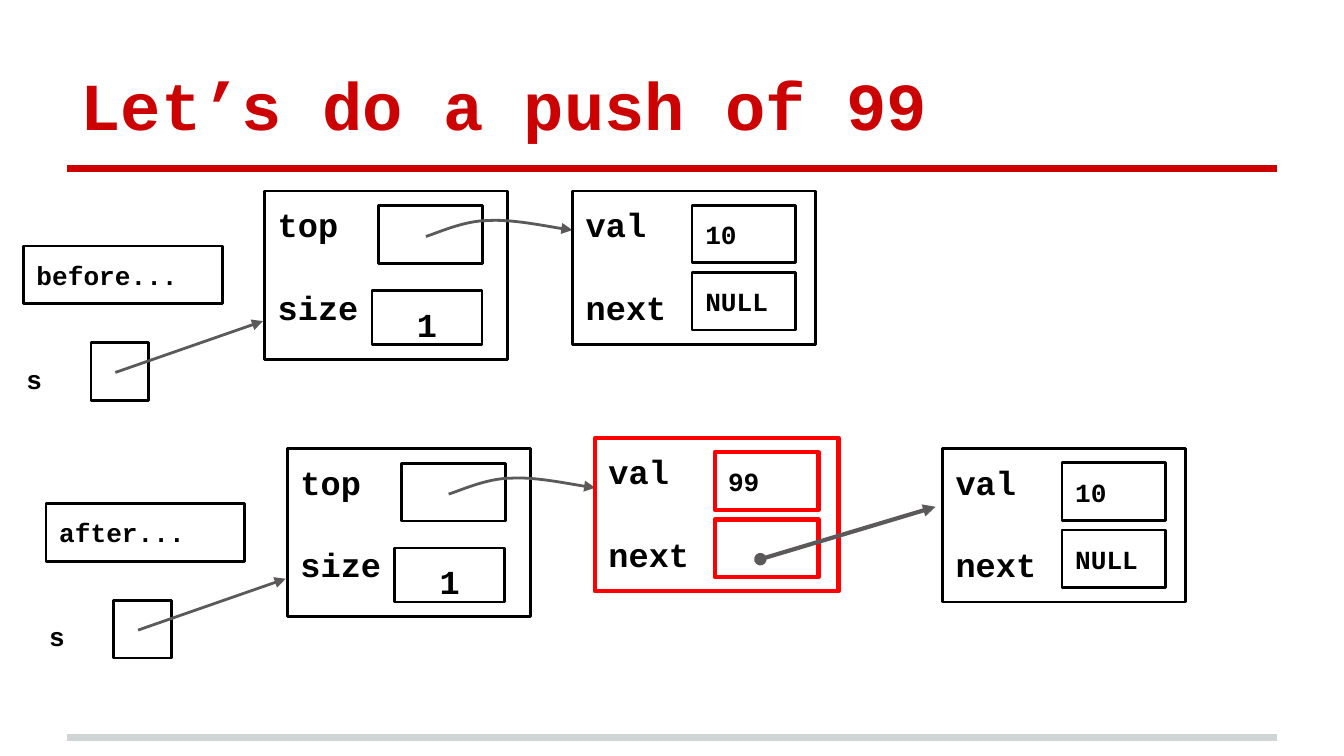
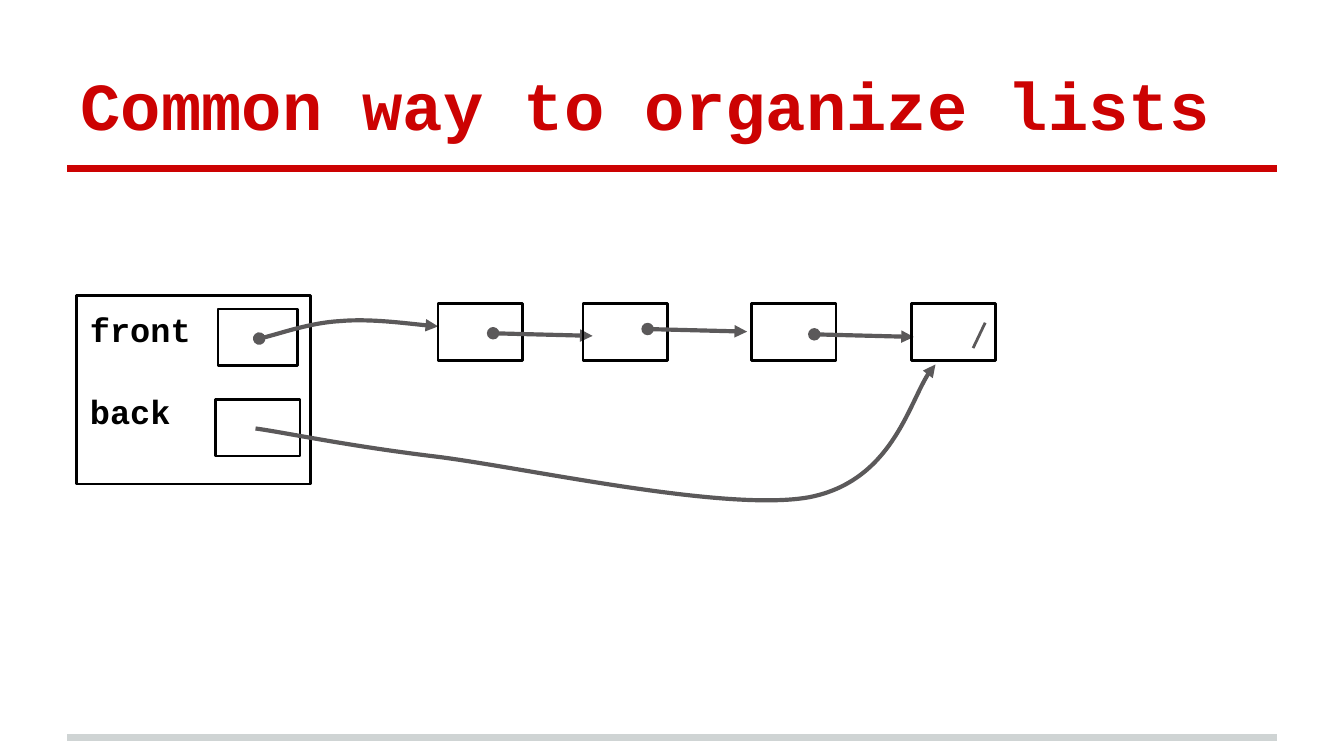
from dataclasses import dataclass

from lxml.etree import SubElement
from pptx import Presentation
from pptx.dml.color import RGBColor
from pptx.enum.shapes import MSO_CONNECTOR as Connector, MSO_SHAPE as Preset
from pptx.enum.text import MSO_ANCHOR as Anchor, MSO_AUTO_SIZE as AutoSize, PP_ALIGN as Align
from pptx.oxml.ns import qn
from pptx.util import Cm, Pt


@dataclass(frozen=True)
class Theme:
    """Colours, type sizes and line widths of the deck."""
    red: str = "CC0202"
    highlight: str = "FF0000"
    ink: str = "000000"
    arrow: str = "5B595A"
    footer: str = "CFD4D4"
    font: str = "Courier New"
    title: float = 36
    field: float = 18
    value: float = 14
    field_gap: float = 22.5
    thin: float = 1.5
    thick: float = 2.25
    rule: float = 4
    inset: float = 0.25


THEME = Theme()
CELL = (1.96, 1.09)
LINK_CELL = (1.6, 1.07)


def write(frame, *lines, size=THEME.value, color=THEME.ink, align=Align.LEFT, anchor=Anchor.TOP):
    """Fill a text frame with bold lines, one paragraph each."""
    frame.word_wrap = True
    frame.auto_size = AutoSize.NONE
    frame.vertical_anchor = anchor
    frame.margin_left = frame.margin_right = Cm(THEME.inset)
    frame.margin_top = frame.margin_bottom = Cm(THEME.inset)
    for index, line in enumerate(lines):
        paragraph = frame.add_paragraph() if index else frame.paragraphs[0]
        paragraph.alignment = align
        paragraph.space_before = Pt(THEME.field_gap if index else 0)
        run = paragraph.add_run()
        run.text = line
        run.font.name = THEME.font
        run.font.size = Pt(size)
        run.font.bold = True
        run.font.color.rgb = RGBColor.from_string(color)


def stroke(shape, color, width, head=None, tail=None):
    """Set a line's colour, width and arrowheads."""
    shape.line.color.rgb = RGBColor.from_string(color)
    shape.line.width = Pt(width)
    line = shape._element.xpath(".//a:ln")[0]
    for tag, kind in (("a:headEnd", head), ("a:tailEnd", tail)):
        if kind:
            SubElement(line, qn(tag)).set("type", kind)


def add_box(slide, origin, offset, extent, *lines, color=THEME.ink, width=THEME.thin,
            **text_format):
    """Add an outlined rectangle at an offset from an origin."""
    left, top = shift(origin, offset)
    shape = slide.shapes.add_shape(Preset.RECTANGLE, Cm(left), Cm(top), *map(Cm, extent))
    shape.shadow.inherit = False
    shape.fill.background()
    stroke(shape, color, width)
    if lines:
        write(shape.text_frame, *lines, **text_format)


def add_line(slide, origin, start, end, color=THEME.arrow, width=THEME.thin, **ends):
    """Add a straight line between two offsets from an origin."""
    points = [Cm(value) for offset in (start, end) for value in shift(origin, offset)]
    connector = slide.shapes.add_connector(Connector.STRAIGHT, *points)
    stroke(connector, color, width, **ends)
    SubElement(connector._element.spPr, qn("a:effectLst"))


def add_curve(slide, origin, points, width=THEME.thin, head=None):
    """Add an arrow of cubic curves: a start, then three points per curve."""
    start, *rest = [tuple(map(Cm, shift(origin, point))) for point in points]
    builder = slide.shapes.build_freeform(*start)
    builder.add_line_segments(rest, close=False)
    shape = builder.convert_to_shape()
    shape.shadow.inherit = False
    shape.fill.background()
    stroke(shape, THEME.arrow, width, head=head, tail="triangle")
    outline = shape._element.xpath(".//a:path")[0]
    segments = outline.findall(qn("a:lnTo"))
    for index in range(0, len(segments), 3):
        curve = SubElement(outline, qn("a:cubicBezTo"))
        for segment in segments[index:index + 3]:
            curve.append(segment[0])
            outline.remove(segment)


def shift(origin, offset):
    """Return the origin moved by the offset."""
    return origin[0] + offset[0], origin[1] + offset[1]


def add_titled_slide(presentation, title):
    """Add a slide with its title, red rule and footer rule."""
    slide = presentation.slides.add_slide(presentation.slide_layouts[5])
    for height, color in ((13.94, THEME.footer), (3.18, THEME.red)):
        add_line(slide, (1.27, height), (0, 0), (22.86, 0), color=color, width=THEME.rule)
    placeholder = slide.shapes.title
    placeholder.left, placeholder.top = Cm(1.27), Cm(0.58)
    placeholder.width, placeholder.height = Cm(22.86), Cm(2.39)
    write(placeholder.text_frame, title, size=THEME.title, color=THEME.red, anchor=Anchor.BOTTOM)
    return slide


def add_stack(slide, origin, caption):
    """Draw a stack record with its caption, pointer s and top arrow."""
    add_box(slide, origin, (0, 0), (4.6, 3.18), "top", "size", size=THEME.field)
    add_box(slide, origin, (2.16, 0.28), CELL)
    add_box(slide, origin, (2.03, 1.88), (2.08, 1.02), "1", size=THEME.field, align=Align.CENTER)
    add_box(slide, origin, (-4.56, 1.04), (3.76, 1.09), caption)
    left, top = shift(origin, (-4.75, 3))
    label = slide.shapes.add_textbox(Cm(left), Cm(top), Cm(1.9), Cm(0.74))
    write(label.text_frame, "s")
    add_box(slide, origin, (-3.28, 2.87), (1.09, 1.09))
    add_line(slide, origin, (-2.82, 3.43), (-0.03, 2.46), tail="triangle")
    add_curve(slide, origin, [(3.05, 0.86), (3.23, 0.81), (3.76, 0.56), (4.22, 0.56),
                              (4.67, 0.53), (5.54, 0.71), (5.82, 0.74)])


def add_node(slide, origin, value, following=None, **outline):
    """Draw a list node with its val and next cells."""
    add_box(slide, origin, (0, 0), (4.6, 2.9), "val", "next", size=THEME.field, **outline)
    add_box(slide, origin, (2.26, 0.27), CELL, value, **outline)
    add_box(slide, origin, (2.26, 1.54), CELL, *([following] if following else []), **outline)


def build_push_slide(presentation):
    """Show the stack before and after pushing 99."""
    slide = add_titled_slide(presentation, "Let’s do a push of 99")
    add_stack(slide, (5, 3.61), "before...")
    add_node(slide, (10.82, 3.61), "10", "NULL")
    add_stack(slide, (5.43, 8.48), "after...")
    add_node(slide, (17.81, 8.48), "10", "NULL")
    pushed = (11.25, 8.28)
    add_node(slide, pushed, "99", color=THEME.highlight, width=THEME.thick)
    add_line(slide, pushed, (3.12, 2.29), (6.43, 1.3), width=THEME.thick,
             head="oval", tail="triangle")


def add_list_header(slide, origin):
    """Draw the record that holds the front and back pointers."""
    add_box(slide, origin, (0, 0), (4.42, 3.56), "front", "back", size=THEME.field)
    add_box(slide, origin, (2.67, 0.25), (1.5, 1.07))
    add_box(slide, origin, (2.62, 1.96), LINK_CELL)
    add_curve(slide, origin, [(3.45, 0.81), (3.71, 0.76), (4.42, 0.51), (4.98, 0.48),
                              (5.54, 0.43), (6.53, 0.56), (6.83, 0.58)],
              width=THEME.thick, head="oval")
    add_curve(slide, origin, [(3.38, 2.51), (3.96, 2.59), (5.11, 2.84), (6.86, 3.05),
                              (8.61, 3.28), (12.27, 4.09), (13.84, 3.81),
                              (15.39, 3.51), (15.82, 1.7), (16.23, 1.3)], width=THEME.thick)


def add_chain(slide, origin, nodes):
    """Draw linked cells, the last one struck with a slash."""
    for left, arrow_start in nodes:
        cell = shift(origin, (left, 0))
        add_box(slide, cell, (0, 0), LINK_CELL)
        if arrow_start:
            steps = ((0, 0), (0.31, 0.01), (1.56, 0.04), (1.88, 0.05))
            add_curve(slide, shift(cell, arrow_start), steps, width=THEME.thick, head="oval")
        else:
            add_line(slide, cell, (1.4, 0.36), (1.17, 0.84))


def build_list_slide(presentation):
    """Show a list with front and back pointers."""
    slide = add_titled_slide(presentation, "Common way to organize lists")
    add_list_header(slide, (1.45, 5.59))
    add_chain(slide, (8.28, 5.74), [(0, (1.04, 0.56)), (2.74, (1.22, 0.48)),
                                    (5.92, (1.19, 0.58)), (8.94, None)])


def main():
    """Build the deck and save it."""
    presentation = Presentation()
    presentation.slide_width, presentation.slide_height = Cm(25.4), Cm(14.29)
    build_push_slide(presentation)
    build_list_slide(presentation)
    presentation.save("out.pptx")


if __name__ == "__main__":
    main()
